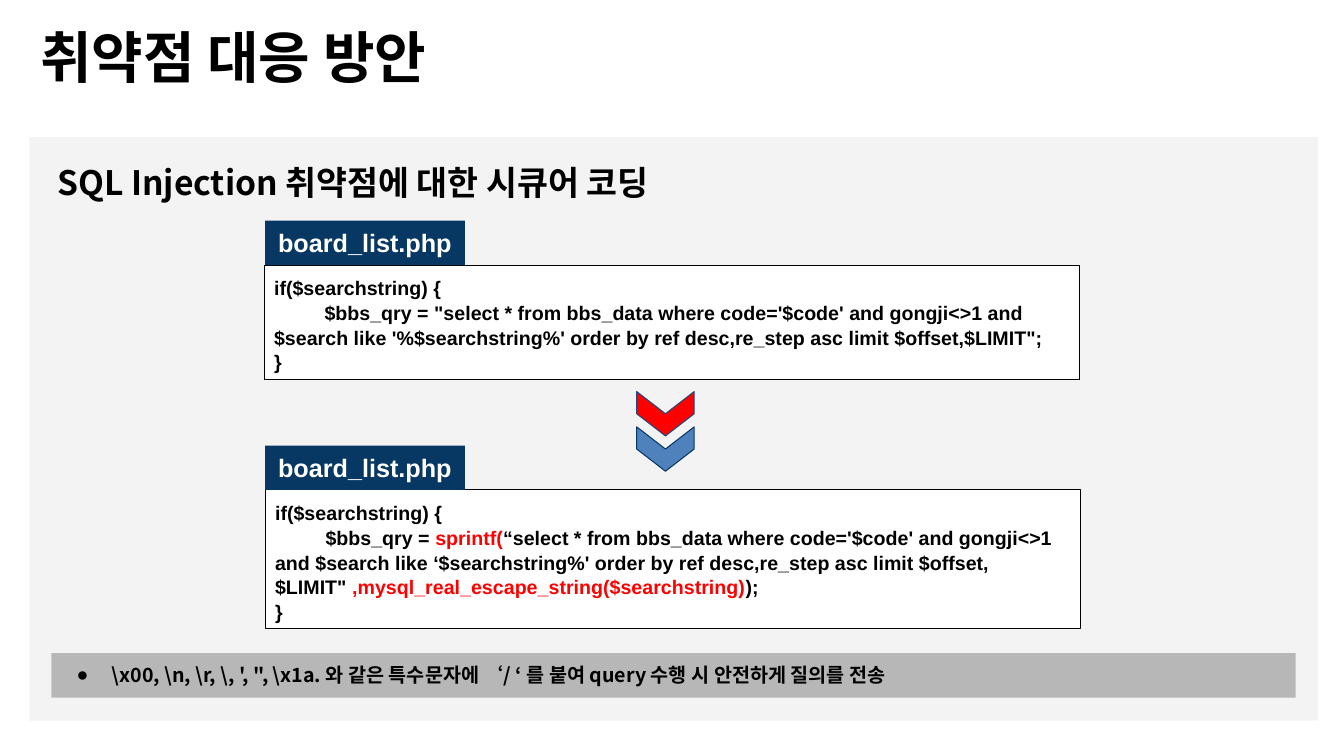
from dataclasses import dataclass
from lxml import etree
from pptx import Presentation
from pptx.dml.color import RGBColor as RGB
from pptx.enum.shapes import MSO_SHAPE as Kind
from pptx.enum.text import MSO_ANCHOR as Anchor, MSO_AUTO_SIZE as Fit, PP_ALIGN as Align
from pptx.oxml.ns import qn
from pptx.util import Inches, Pt


@dataclass
class Theme:
    ink: str = "000000"
    white: str = "FFFFFF"
    panel: str = "F3F3F3"
    bar: str = "B7B7B7"
    navy: str = "073763"
    edge: str = "1F497D"
    blue: str = "4F81BD"
    red: str = "FF0000"
    latin: str = "Arial"
    head: str = "Calibri"
    korean: str = "Noto Sans CJK KR"
    title: int = 40
    topic: int = 24
    label: int = 18
    body: int = 14


theme = Theme()
deck = Presentation()
deck.slide_width, deck.slide_height = Inches(13.33), Inches(7.5)
slide = deck.slides.add_slide(deck.slide_layouts[1])
shapes = slide.shapes


def block(kind, spot, fill, line=None):
    shape = shapes.add_shape(kind, *map(Inches, spot))
    shape.shadow.inherit = False
    shape.fill.solid()
    shape.fill.fore_color.rgb = RGB.from_string(fill)
    if line:
        shape.line.color.rgb = RGB.from_string(line)
        shape.line.width = Pt(0.75)
    else:
        shape.line.fill.background()
    return shape


def style(shape, face, size, color, pad=0.1, anchor=Anchor.TOP, align=Align.LEFT):
    frame = shape.text_frame
    frame.word_wrap = True
    frame.auto_size = Fit.NONE
    frame.vertical_anchor = anchor
    frame.margin_left = frame.margin_right = Inches(pad)
    frame.margin_top = frame.margin_bottom = Inches(min(pad, 0.1))
    for para in frame.paragraphs:
        para.alignment = align
        para.space_before = Pt(0)
        for run in para.runs:
            font = run.font
            font.name, font.size, font.bold = face, Pt(size), True
            font.color.rgb = RGB.from_string(color)
            if face == theme.korean:
                etree.SubElement(font._element, qn("a:ea")).set("typeface", face)
    return frame


panel = block(Kind.RECTANGLE, (0.29, 1.36, 12.78, 5.79), theme.panel)
shapes._spTree.insert(2, panel._element)

title = shapes.title
title.left, title.top, title.width, title.height = map(Inches, (0.29, 0.12, 9.05, 0.87))
title.text_frame.text = "취약점 대응 방안"
frame = style(title, theme.head, theme.title, theme.ink, 0.11, Anchor.MIDDLE)
frame.margin_top = frame.margin_bottom = Inches(0.05)

topic = shapes.add_textbox(*map(Inches, (0.47, 1.51, 7.44, 0.61)))
topic.text_frame.text = "SQL Injection 취약점에 대한 시큐어 코딩"
style(topic, theme.korean, theme.topic, theme.ink)

before = [
    ("$bbs_qry = \"select * from bbs_data where code='$code' and gongji<>1 and "
     "$search like '%$searchstring%' order by ref desc,re_step asc limit $offset,$LIMIT\";", theme.ink),
]
after = [
    ("$bbs_qry = ", theme.ink),
    ("sprintf(", theme.red),
    ("“select * from bbs_data where code='$code' and gongji<>1 and "
     "$search like ‘$searchstring%' order by ref desc,re_step asc limit $offset,$LIMIT\" ", theme.ink),
    (",mysql_real_escape_string($searchstring)", theme.red),
    (");", theme.ink),
]

for left, top, high, query in [(2.62, 2.63, 1.14, before), (2.63, 4.86, 1.38, after)]:
    code = block(Kind.RECTANGLE, (left, top, 8.09, high), theme.white, theme.ink)
    frame = code.text_frame
    frame.text = "if($searchstring) {"
    para = frame.add_paragraph()
    para._p.get_or_add_pPr().set("indent", str(Inches(0.5)))
    for text, color in query:
        para.add_run().text = text
    frame.add_paragraph().text = "}"
    style(code, theme.latin, theme.body, theme.ink)
    for run, (text, color) in zip(para.runs, query):
        run.font.color.rgb = RGB.from_string(color)
    for para in frame.paragraphs:
        para.line_spacing = 1.05

    label = block(Kind.RECTANGLE, (2.63, top - 0.44, 1.98, 0.44), theme.navy)
    label.text_frame.text = "board_list.php"
    style(label, theme.latin, theme.label, theme.white, anchor=Anchor.MIDDLE, align=Align.CENTER)

for top, fill, line in [(4.17, theme.blue, theme.navy), (3.82, theme.red, theme.edge)]:
    arrow = block(Kind.CHEVRON, (6.38, top, 0.44, 0.57), fill, line)
    arrow.adjustments[0] = 0.5
    arrow.rotation = 90

note = slide.placeholders[1]
note.left, note.top, note.width, note.height = map(Inches, (0.51, 6.48, 12.34, 0.44))
note.fill.solid()
note.fill.fore_color.rgb = RGB.from_string(theme.bar)
note.text_frame.text = "\\x00, \\n, \\r, \\, ', \", \\x1a. 와 같은 특수문자에 ‘/ ‘ 를 붙여 query 수행 시 안전하게 질의를 전송"
frame = style(note, theme.korean, theme.body, theme.ink)
props = frame.paragraphs[0]._p.get_or_add_pPr()
props.set("marL", str(Inches(0.5)))
props.set("indent", str(Inches(-0.35)))
tint = etree.SubElement(props, qn("a:buClr"))
etree.SubElement(tint, qn("a:srgbClr")).set("val", theme.ink)
etree.SubElement(props, qn("a:buChar")).set("char", "●")

deck.save("out.pptx")
